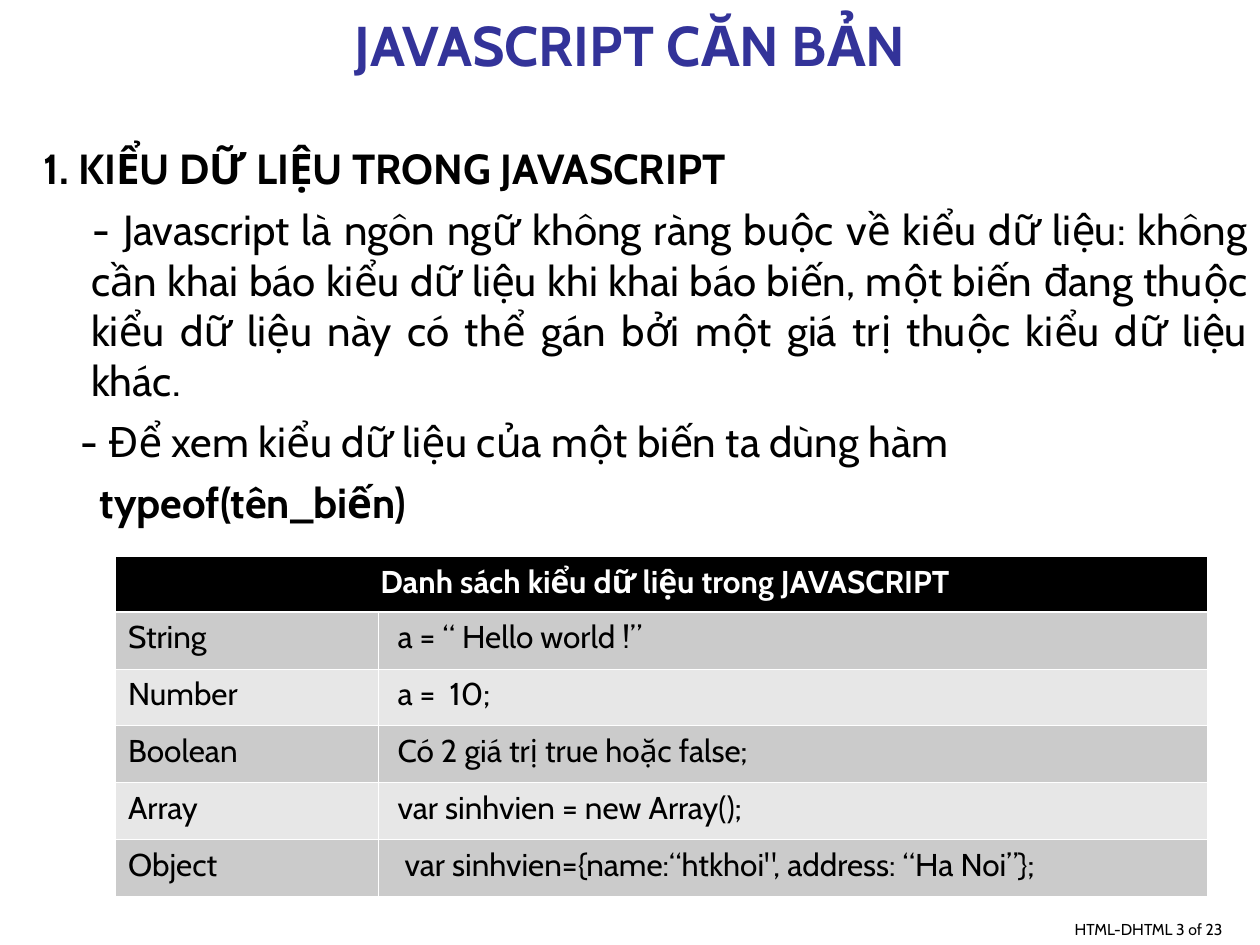
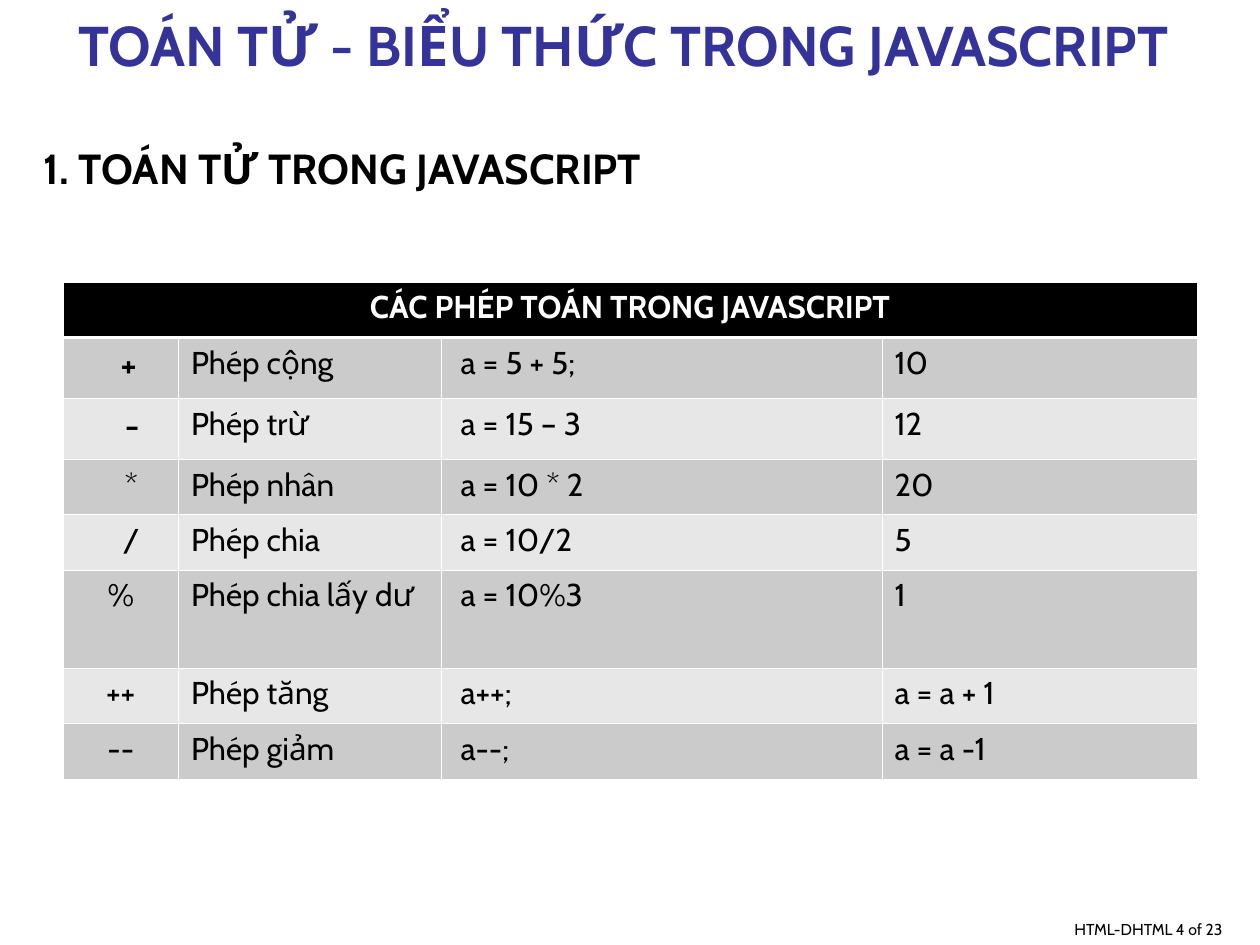
from collections import namedtuple
from pptx import Presentation
from pptx.dml.color import RGBColor
from pptx.enum.text import MSO_ANCHOR, PP_ALIGN
from pptx.oxml import parse_xml
from pptx.oxml.ns import nsdecls
from pptx.util import Pt

BLACK = RGBColor(0x00, 0x00, 0x00)
WHITE = RGBColor(0xFF, 0xFF, 0xFF)
TITLE_BLUE = RGBColor(0x33, 0x33, 0x99)
DARK_BAND = RGBColor(0xCB, 0xCB, 0xCB)
LIGHT_BAND = RGBColor(0xE7, 0xE7, 0xE7)

FONT = "Cabin"
TITLE_FONT = {"name": FONT, "size": Pt(32), "bold": True}
HEADING_FONT = {"name": FONT, "size": Pt(24), "bold": True}
BODY_FONT = {**HEADING_FONT, "bold": False}
CELL_FONT = {"name": FONT, "size": Pt(18), "bold": False}
HEADER_FONT = {**CELL_FONT, "bold": True}
SIGN_FONT = {**HEADER_FONT, "size": Pt(20)}
FOOTER_FONT = {"name": FONT, "size": Pt(9), "bold": False}

Box = namedtuple("Box", "left top width height")
Line = namedtuple("Line", "text font alignment first_left left")
Cell = namedtuple("Cell", "text font alignment shift", defaults=(CELL_FONT, PP_ALIGN.LEFT, 0))

SLIDE_SIZE = Box(0, 0, 720, 540)
TITLE_BOX = Box(0, 0, 720, 48)
BODY_BOX = Box(18, 78, 702, 456)
FOOTER_BOX = Box(291.6, 504, 414, 36)
CELL_MARGIN = 7.2
THIN_BORDER = 0.45
HEADER_BORDER = 1.47
HEADER_HEIGHT = 31.7


def write(paragraph, text, font, color=BLACK, alignment=PP_ALIGN.LEFT):
    paragraph.alignment = alignment
    run = paragraph.add_run()
    run.text = text
    for name, value in font.items():
        setattr(run.font, name, value)
    run.font.color.rgb = color


def add_text_frame(slide, box, anchor=MSO_ANCHOR.TOP):
    shape = slide.shapes.add_textbox(*map(Pt, box))
    shape.text_frame.word_wrap = True
    shape.text_frame.vertical_anchor = anchor
    return shape.text_frame


def add_title(slide, box, text):
    frame = add_text_frame(slide, box, MSO_ANCHOR.BOTTOM)
    write(frame.paragraphs[0], text, TITLE_FONT, TITLE_BLUE, PP_ALIGN.CENTER)


def add_footer(slide, box, number):
    frame = add_text_frame(slide, box, MSO_ANCHOR.BOTTOM)
    write(frame.paragraphs[0], f"HTML-DHTML {number} of 23", FOOTER_FONT, alignment=PP_ALIGN.RIGHT)


def add_body(slide, box, lines):
    frame = add_text_frame(slide, box)
    for index, line in enumerate(lines):
        paragraph = frame.add_paragraph() if index else frame.paragraphs[0]
        write(paragraph, line.text, line.font, alignment=line.alignment)
        paragraph.space_before = Pt(6)
        properties = paragraph._p.get_or_add_pPr()
        properties.set("marL", str(Pt(line.left)))
        properties.set("indent", str(Pt(line.first_left - line.left)))


def set_borders(cell, top, bottom):
    widths = {"lnL": THIN_BORDER, "lnR": THIN_BORDER, "lnT": top, "lnB": bottom}
    for tag, width in widths.items():
        cell._tc.get_or_add_tcPr().append(parse_xml(
            f'<a:{tag} {nsdecls("a")} w="{Pt(width)}"><a:solidFill>'
            f'<a:srgbClr val="{WHITE}"/></a:solidFill></a:{tag}>'))


def fill_cell(cell, content, fill, color=BLACK):
    cell.fill.solid()
    cell.fill.fore_color.rgb = fill
    cell.margin_left = Pt(CELL_MARGIN + content.shift)
    write(cell.text_frame.paragraphs[0], content.text, content.font, color, content.alignment)


def add_band_table(slide, left, top, widths, heights, header, rows):
    heights = [HEADER_HEIGHT, *heights]
    box = Box(left, top, sum(widths), sum(heights))
    table = slide.shapes.add_table(len(heights), len(widths), *map(Pt, box)).table
    table.horz_banding = False
    for column, width in zip(table.columns, widths):
        column.width = Pt(width)
    for row, height in zip(table.rows, heights):
        row.height = Pt(height)
    for index, row in enumerate(table.rows):
        for cell in row.cells:
            set_borders(cell, HEADER_BORDER if index == 1 else THIN_BORDER,
                        HEADER_BORDER if index == 0 else THIN_BORDER)
    table.cell(0, 0).merge(table.cell(0, len(widths) - 1))
    fill_cell(table.cell(0, 0), header, BLACK, WHITE)
    for index, contents in enumerate(rows):
        fill = LIGHT_BAND if index % 2 else DARK_BAND
        for cell, content in zip(table.rows[index + 1].cells, contents):
            fill_cell(cell, content, fill)


def add_lesson_slide(presentation, number, title, lines):
    slide = presentation.slides.add_slide(presentation.slide_layouts[6])
    add_footer(slide, FOOTER_BOX, number)
    add_body(slide, BODY_BOX, lines)
    add_title(slide, TITLE_BOX, title)
    return slide


def heading(text):
    return Line(text, HEADING_FONT, PP_ALIGN.LEFT, 0, 27)


def example(text, shift=4):
    return Cell(text, shift=shift)


def build_data_types(presentation):
    lines = [
        heading("1. KIỂU DỮ LIỆU TRONG JAVASCRIPT"),
        Line("- Javascript là ngôn ngữ không ràng buộc về kiểu dữ liệu: không cần khai báo "
             "kiểu dữ liệu khi khai báo biến, một biến đang thuộc kiểu dữ liệu này có thể gán "
             "bởi một giá trị thuộc kiểu dữ liệu khác.", BODY_FONT, PP_ALIGN.JUSTIFY, 28, 27),
        Line("- Để xem kiểu dữ liệu của một biến ta dùng hàm", BODY_FONT, PP_ALIGN.JUSTIFY, 21, 27),
        Line("typeof(tên_biến)", HEADING_FONT, PP_ALIGN.JUSTIFY, 32, 32),
    ]
    slide = add_lesson_slide(presentation, 3, "JAVASCRIPT CĂN BẢN", lines)
    rows = [
        (Cell("String"), example("a = “ Hello world !”")),
        (Cell("Number"), example("a =  10;")),
        (Cell("Boolean"), example("Có 2 giá trị true hoặc false;")),
        (Cell("Array"), example("var sinhvien = new Array();")),
        (Cell("Object"), example("var sinhvien={name:“htkhoi\", address: “Ha Noi”};", 8)),
    ]
    header = Cell("Danh sách kiểu dữ liệu trong JAVASCRIPT", HEADER_FONT, PP_ALIGN.CENTER, 4)
    add_band_table(slide, 66, 318, [150, 474], [32.55] * len(rows), header, rows)


def build_operators(presentation):
    lines = [heading("1. TOÁN TỬ TRONG JAVASCRIPT")]
    slide = add_lesson_slide(presentation, 4, "TOÁN TỬ - BIỂU THỨC TRONG JAVASCRIPT ", lines)
    operators = [
        ("+", SIGN_FONT, 9, "Phép cộng", "a = 5 + 5;", "10", 34.8),
        ("-", SIGN_FONT, 13, "Phép trừ", "a = 15 – 3", "12", 34.8),
        ("*", CELL_FONT, 12, "Phép nhân", "a = 10 * 2", "20", 31.7),
        ("/", CELL_FONT, 12, "Phép chia", "a = 10/2", "5", 31.7),
        ("%", CELL_FONT, 0, "Phép chia lấy dư", "a = 10%3", "1", 56),
        ("++", CELL_FONT, 0, "Phép tăng", "a++;", "a = a + 1", 31.7),
        ("--", CELL_FONT, 0, "Phép giảm", "a--;", "a = a -1", 31.7),
    ]
    rows = [(Cell(sign, font, PP_ALIGN.CENTER, shift), Cell(name), example(code), Cell(result))
            for sign, font, shift, name, code, result, height in operators]
    heights = [operator[-1] for operator in operators]
    header = Cell("CÁC PHÉP TOÁN TRONG JAVASCRIPT", HEADER_FONT, PP_ALIGN.CENTER)
    add_band_table(slide, 36, 161.2, [66, 150, 252, 180], heights, header, rows)


def main():
    presentation = Presentation()
    presentation.slide_width = Pt(SLIDE_SIZE.width)
    presentation.slide_height = Pt(SLIDE_SIZE.height)
    build_data_types(presentation)
    build_operators(presentation)
    presentation.save("out.pptx")


if __name__ == "__main__":
    main()
